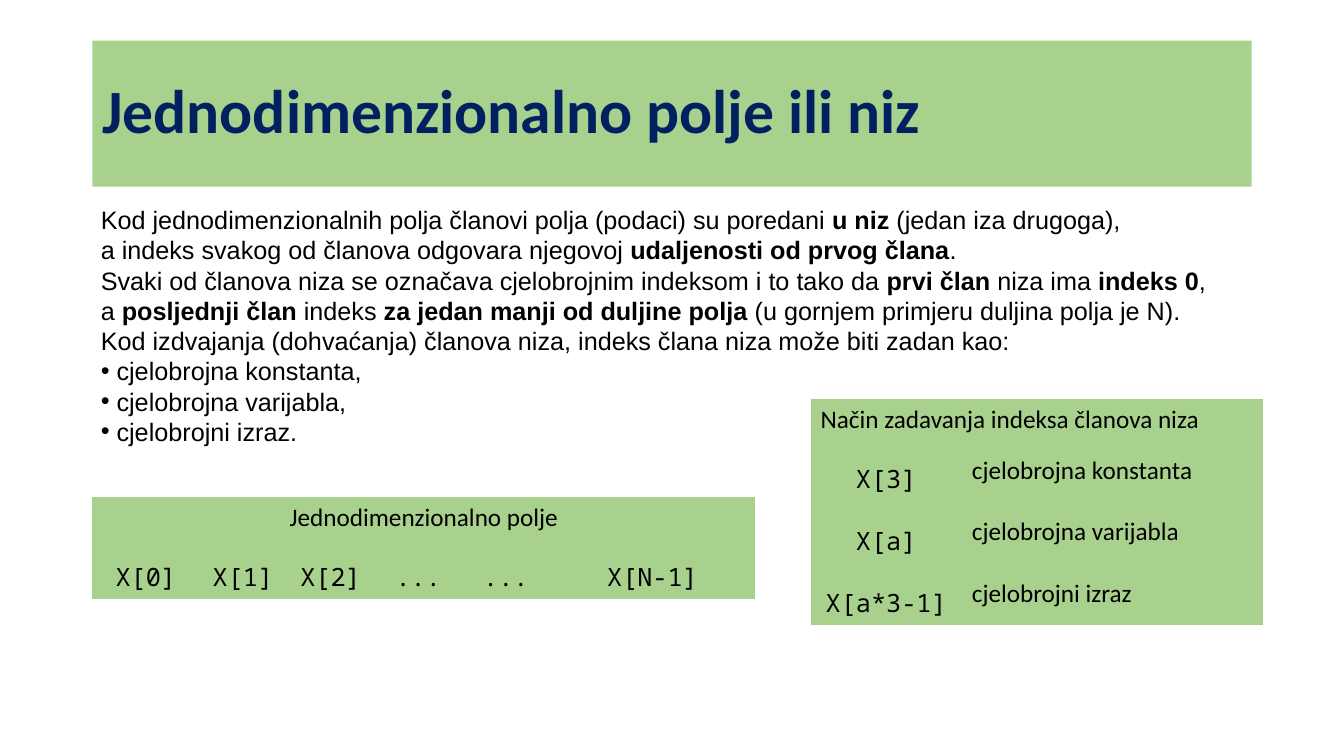
from lxml import etree
from pptx import Presentation
from pptx.dml.color import RGBColor
from pptx.enum.text import MSO_ANCHOR, MSO_AUTO_SIZE, PP_ALIGN
from pptx.oxml.ns import qn
from pptx.util import Pt

GREEN = RGBColor(0xA9, 0xD1, 0x8E)
NAVY = RGBColor(0x00, 0x20, 0x60)
BLACK = RGBColor(0, 0, 0)
HEADING_FONT, BODY_FONT, CODE_FONT = "Calibri", "Arial", "Noto Sans Mono"
TEXT_SIZE = 18
PLAIN_TABLE_STYLE = "{2D5ABB26-0587-4C30-8999-92F81FD0307C}"

# Content: in each explanation line every second piece is bold
TITLE = "Jednodimenzionalno polje ili niz"
EXPLANATION = [
    ("Kod jednodimenzionalnih polja članovi polja (podaci) su poredani", " u niz",
     " (jedan iza drugoga),"),
    ("a indeks svakog od članova odgovara njegovoj ", "udaljenosti od prvog člana", "."),
    ("Svaki od članova niza se označava cjelobrojnim indeksom i to tako da ",
     "prvi član ", "niza ima ", "indeks 0", ","),
    ("a ", "posljednji član", " indeks ", "za jedan manji od duljine polja",
     " (u gornjem primjeru duljina polja je N)."),
    ("Kod izdvajanja (dohvaćanja) članova niza, indeks člana niza može biti zadan kao:",),
]
INDEX_KINDS = [" cjelobrojna konstanta,", " cjelobrojna varijabla,", " cjelobrojni izraz."]
ARRAY_HEADING = "Jednodimenzionalno polje"
ARRAY_ROWS = [["X[0]", "X[1]", "X[2]", "...", "...", "X[N-1]"]]
INDEX_HEADING = "Način zadavanja indeksa članova niza"
INDEX_ROWS = [
    ["X[3]", "cjelobrojna konstanta"],
    ["X[a]", "cjelobrojna varijabla"],
    ["X[a*3-1]", "cjelobrojni izraz"],
]

# Layout in points
SLIDE_SIZE = (960, 540)
TITLE_BOX = (66, 29, 828, 104.4)
EXPLANATION_BOX = (64.8, 142.4, 816.5, 203.8)
ARRAY_CORNER, ARRAY_COLUMNS = (66, 355), [76.3] + [62.6] * 4 + [146.9]
INDEX_CORNER, INDEX_COLUMNS = (579, 285), [108, 215.3]
HEADING_HEIGHT, ROW_HEIGHT = 29.2, 44


def place(part, box):
    part.left, part.top, part.width, part.height = map(Pt, box)


def style(paragraph, font_name, size=TEXT_SIZE, color=BLACK, align=PP_ALIGN.LEFT, spacing=1.0):
    paragraph.font.name = font_name
    paragraph.font.size = Pt(size)
    paragraph.font.color.rgb = color
    paragraph.alignment = align
    paragraph.line_spacing = spacing


def set_bullet(paragraph, bullet):
    properties = paragraph._p.get_or_add_pPr()
    properties.set("marL", "0")
    properties.set("indent", "0")
    if bullet:
        etree.SubElement(properties, qn("a:buChar")).set("char", bullet)
    else:
        etree.SubElement(properties, qn("a:buNone"))


def fill_cell(cell, text, font_name, align, spacing=1.0):
    cell.text = text
    cell.vertical_anchor = MSO_ANCHOR.MIDDLE
    style(cell.text_frame.paragraphs[0], font_name, align=align, spacing=spacing)


def add_green_table(slide, corner, columns, heading, heading_align, rows, code_columns):
    size = (sum(columns), HEADING_HEIGHT + ROW_HEIGHT * len(rows))
    table = slide.shapes.add_table(len(rows) + 1, len(columns),
                                   *map(Pt, corner + size)).table
    table.first_row = table.horz_banding = False
    table._tbl.tblPr.find(qn("a:tableStyleId")).text = PLAIN_TABLE_STYLE
    for column, width in zip(table.columns, columns):
        column.width = Pt(width)
    for number, row in enumerate(table.rows):
        row.height = Pt(ROW_HEIGHT if number else HEADING_HEIGHT)
    for cell in table.iter_cells():
        cell.fill.solid()
        cell.fill.fore_color.rgb = GREEN
    table.cell(0, 0).merge(table.cell(0, len(columns) - 1))
    fill_cell(table.cell(0, 0), heading, HEADING_FONT, heading_align)
    for r, row in enumerate(rows, 1):
        for c, text in enumerate(row):
            if c < code_columns:
                fill_cell(table.cell(r, c), text, CODE_FONT, PP_ALIGN.CENTER, 1.5)
            else:
                fill_cell(table.cell(r, c), text, HEADING_FONT, PP_ALIGN.LEFT)


def main():
    deck = Presentation()
    deck.slide_width, deck.slide_height = map(Pt, SLIDE_SIZE)
    slide = deck.slides.add_slide(deck.slide_layouts[1])

    # Title band
    title = slide.shapes.title
    place(title, TITLE_BOX)
    title.fill.solid()
    title.fill.fore_color.rgb = GREEN
    title.text_frame.text = TITLE
    title.text_frame.auto_size = MSO_AUTO_SIZE.NONE
    title.text_frame.vertical_anchor = MSO_ANCHOR.MIDDLE
    heading = title.text_frame.paragraphs[0]
    style(heading, HEADING_FONT, 44, NAVY, spacing=0.9)
    heading.font.bold = True

    # Array and index tables
    add_green_table(slide, ARRAY_CORNER, ARRAY_COLUMNS, ARRAY_HEADING,
                    PP_ALIGN.CENTER, ARRAY_ROWS, code_columns=6)
    add_green_table(slide, INDEX_CORNER, INDEX_COLUMNS, INDEX_HEADING,
                    PP_ALIGN.LEFT, INDEX_ROWS, code_columns=1)

    # Explanation and bulleted kinds of index
    explanation = slide.placeholders[1]
    place(explanation, EXPLANATION_BOX)
    frame = explanation.text_frame
    frame.word_wrap = True
    frame.auto_size = MSO_AUTO_SIZE.NONE
    frame.vertical_anchor = MSO_ANCHOR.TOP
    lines = [(pieces, None) for pieces in EXPLANATION]
    lines += [((kind,), "•") for kind in INDEX_KINDS]
    for number, (pieces, bullet) in enumerate(lines):
        paragraph = frame.add_paragraph() if number else frame.paragraphs[0]
        for position, piece in enumerate(pieces):
            run = paragraph.add_run()
            run.text = piece
            if position % 2:
                run.font.bold = True
        paragraph.space_before = Pt(0)
        style(paragraph, BODY_FONT)
        # The bullet must precede the default run properties
        set_bullet(paragraph, bullet)
        properties = paragraph._p.pPr
        properties.append(properties.find(qn("a:defRPr")))

    deck.save("out.pptx")


if __name__ == "__main__":
    main()
